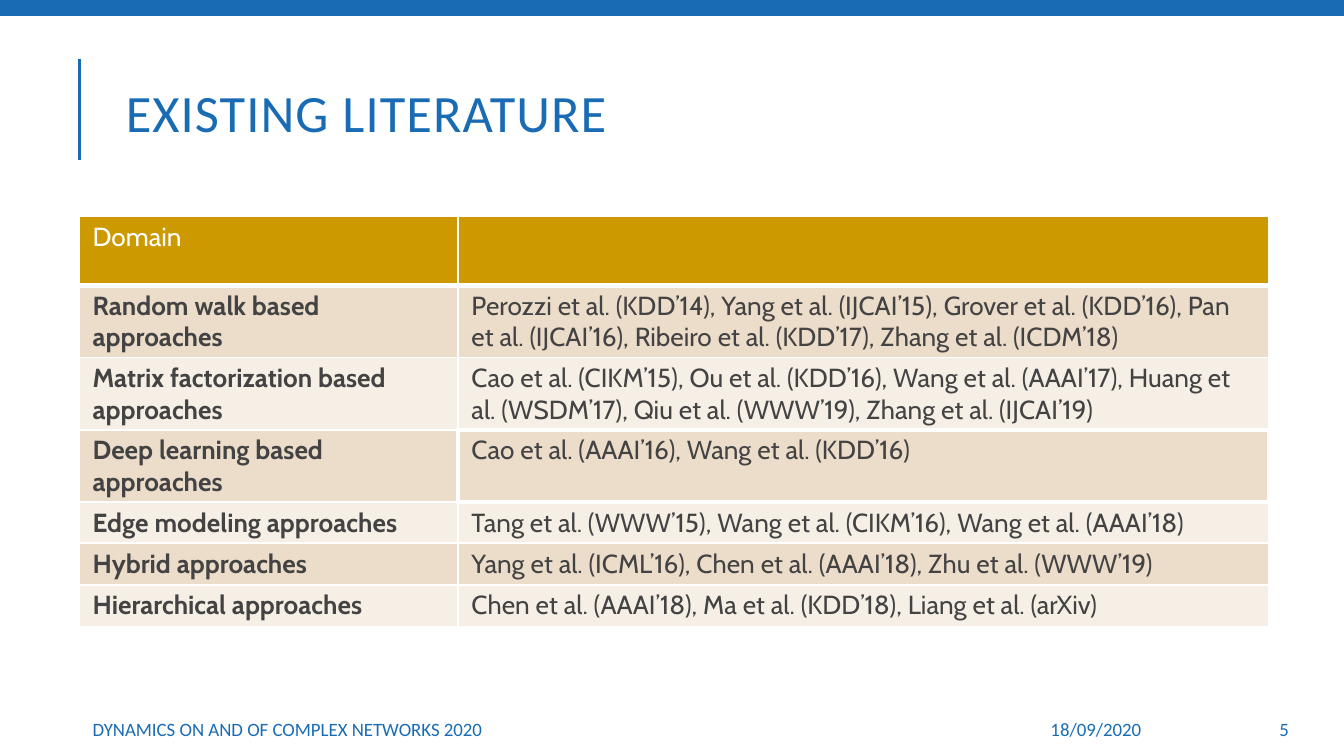
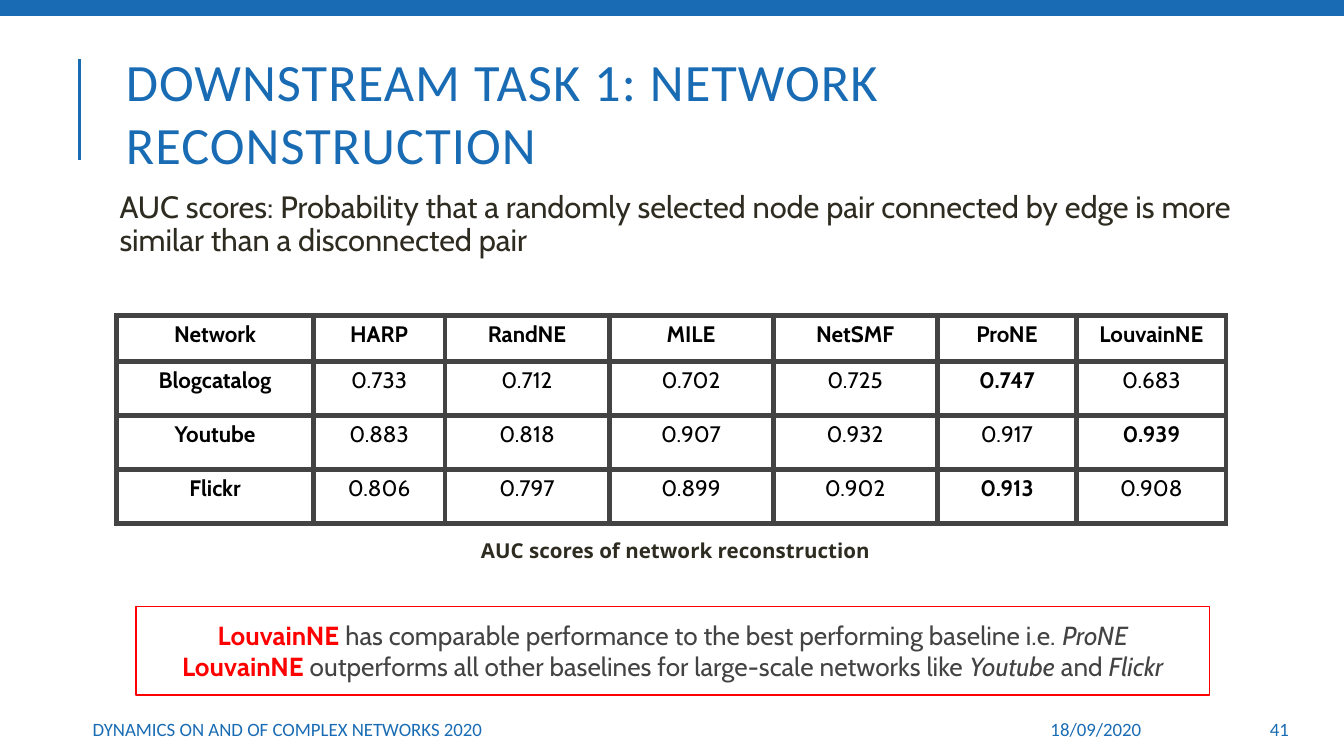
"""Builds two slides on network embedding: literature table and AUC results."""
from lxml.etree import SubElement
from pptx import Presentation
from pptx.dml.color import RGBColor
from pptx.enum.shapes import MSO_CONNECTOR, MSO_SHAPE
from pptx.enum.text import MSO_ANCHOR, PP_ALIGN
from pptx.oxml import parse_xml
from pptx.oxml.ns import nsdecls, qn
from pptx.util import Cm, Pt

BLUE, GOLD, WHITE, BLACK = "196CB4", "CC9900", "FFFFFF", "000000"
SAND, CREAM, GREY, INK, RED = "ECDDCA", "F6EFE6", "434343", "2E2B21", "FF0000"
HEADING, BODY, CAPTION = "Calibri", "Cabin", "Open Sans"

TITLE_BOX = (2.13, 1.12, 22.48, 1.98)
FOOTER_TOP, FOOTER_HEIGHT = 13.49, 0.58
CONFERENCE, DATE = "DYNAMICS ON AND OF COMPLEX NETWORKS 2020", "18/09/2020"

LITERATURE = [
    ("Random walk based approaches",
     "Perozzi et al. (KDD’14), Yang et al. (IJCAI’15), Grover et al. (KDD’16), "
     "Pan et al. (IJCAI’16), Ribeiro et al. (KDD’17), Zhang et al. (ICDM’18)"),
    ("Matrix factorization based approaches",
     "Cao et al. (CIKM’15), Ou et al. (KDD’16), Wang et al. (AAAI’17), "
     "Huang et al. (WSDM’17), Qiu et al. (WWW’19), Zhang et al. (IJCAI’19)"),
    ("Deep learning based approaches",
     "Cao et al. (AAAI’16), Wang et al. (KDD’16)"),
    ("Edge modeling approaches",
     "Tang et al. (WWW’15), Wang et al. (CIKM’16), Wang et al. (AAAI’18)"),
    ("Hybrid approaches",
     "Yang et al. (ICML’16), Chen et al. (AAAI’18), Zhu et al. (WWW’19)"),
    ("Hierarchical approaches",
     "Chen et al. (AAAI’18), Ma et al. (KDD’18), Liang et al. (arXiv)"),
]
LITERATURE_BORDERS = {
    (0, 0): {"B": 3}, (0, 1): {"B": 3}, (1, 0): {"T": 3}, (1, 1): {"T": 3},
    (2, 1): {"B": 2.25}, (3, 0): {"R": 2.25}, (4, 1): {"T": 2.25},
    (3, 1): dict.fromkeys("LRTB", 2.25),
}

METHODS = ["HARP", "RandNE", "MILE", "NetSMF", "ProNE", "LouvainNE"]
SCORES = {
    "Blogcatalog": [0.733, 0.712, 0.702, 0.725, 0.747, 0.683],
    "Youtube": [0.883, 0.818, 0.907, 0.932, 0.917, 0.939],
    "Flickr": [0.806, 0.797, 0.899, 0.902, 0.913, 0.908],
}
FINDINGS = [
    [("LouvainNE ", "strong"),
     ("has comparable performance to the best performing baseline i.e. ", "plain"),
     ("ProNE", "italic")],
    [("LouvainNE", "strong"),
     (" outperforms all other baselines for large-scale networks like ", "plain"),
     ("Youtube ", "italic"), ("and", "plain"), (" Flickr", "italic")],
]


def color(hex_code):
    """Turn a hex string into a colour."""
    return RGBColor.from_string(hex_code)


def style(paragraph, face, size, ink, bold=False, align=PP_ALIGN.LEFT):
    """Set the font and alignment of a whole paragraph."""
    paragraph.alignment = align
    font = paragraph.font
    font.name, font.size, font.bold = face, Pt(size), bold
    font.color.rgb = color(ink)


def set_insets(holder, across, down):
    """Set the margins of a text frame or table cell."""
    holder.margin_left = holder.margin_right = Cm(across)
    holder.margin_top = holder.margin_bottom = Cm(down)


def add_text(slide, box, text, face, size, ink, bold=False, align=PP_ALIGN.LEFT,
             anchor=MSO_ANCHOR.MIDDLE, insets=(0.25, 0.13)):
    """Place one wrapped paragraph in a box and return it."""
    frame = slide.shapes.add_textbox(*map(Cm, box)).text_frame
    frame.word_wrap = True
    frame.vertical_anchor = anchor
    set_insets(frame, *insets)
    paragraph = frame.paragraphs[0]
    paragraph.text = text
    style(paragraph, face, size, ink, bold, align)
    return paragraph


def add_band(slide, box):
    """Draw the blue band along the top edge."""
    band = slide.shapes.add_shape(MSO_SHAPE.RECTANGLE, *map(Cm, box))
    band.shadow.inherit = False
    band.fill.solid()
    band.fill.fore_color.rgb = color(BLUE)
    band.line.fill.background()


def add_title(slide, box, text):
    """Write the title with the upright rule to its left."""
    left, top, _, height = box
    rule_x = left - 0.63
    rule = slide.shapes.add_connector(
        MSO_CONNECTOR.STRAIGHT, Cm(rule_x), Cm(top + height - 0.08), Cm(rule_x), Cm(top))
    rule.line.color.rgb = color(BLUE)
    rule.line.width = Pt(1.5)
    SubElement(rule._element.spPr, qn("a:effectLst"))
    title = add_text(slide, box, text, HEADING, 28.1, BLUE)
    title.runs[0]._r.get_or_add_rPr().set("spc", "60")


def add_footer(slide, top, height, number):
    """Write the conference, the date and the slide number."""
    for left, width, text, align in (
            (1.5, 15.09, CONFERENCE, PP_ALIGN.LEFT),
            (17.32, 4.5, DATE, PP_ALIGN.RIGHT),
            (22.58, 2.03, str(number), PP_ALIGN.RIGHT)):
        add_text(slide, (left, top, width, height), text, HEADING, 10.1, BLUE, align=align)


def add_framed_slide(deck, title, number):
    """Add a blank slide with the band, title and footer."""
    slide = deck.slides.add_slide(deck.slide_layouts[6])
    add_band(slide, (0, 0, 25.4, 0.3))
    add_title(slide, TITLE_BOX, title)
    add_footer(slide, FOOTER_TOP, FOOTER_HEIGHT, number)
    return slide


def add_grid(slide, left, top, widths, heights):
    """Add an unbanded table with the given column and row sizes."""
    table = slide.shapes.add_table(
        len(heights), len(widths), Cm(left), Cm(top),
        Cm(sum(widths)), Cm(sum(heights))).table
    table.first_row = table.horz_banding = False
    for column, width in zip(table.columns, widths):
        column.width = Cm(width)
    for row, height in zip(table.rows, heights):
        row.height = Cm(height)
    return table


def set_borders(cell, ink, width, special=None):
    """Draw the four cell borders, some with a width of their own."""
    widths = dict.fromkeys("LRTB", width) | (special or {})
    properties = cell._tc.get_or_add_tcPr()
    for index, (side, points) in enumerate(widths.items()):
        properties.insert(index, parse_xml(
            f'<a:ln{side} {nsdecls("a")} w="{Pt(points)}"><a:solidFill>'
            f'<a:srgbClr val="{ink}"/></a:solidFill></a:ln{side}>'))


def add_literature_table(slide, left, top):
    """List the papers of each domain."""
    table = add_grid(slide, left, top, [7.16, 15.32],
                     [1.3, 1.14, 1.14, 0.79, 0.69, 0.79, 0.79])
    for r, row in enumerate([("Domain", ""), *LITERATURE]):
        for c, text in enumerate(row):
            cell = table.cell(r, c)
            set_insets(cell, 0.25, 0.09)
            cell.text = text
            style(cell.text_frame.paragraphs[0], BODY, 14,
                  GREY if r else WHITE, bold=r > 0 and c == 0)
            cell.fill.solid()
            cell.fill.fore_color.rgb = color((SAND if r % 2 else CREAM) if r else GOLD)
            set_borders(cell, WHITE, 1, LITERATURE_BORDERS.get((r, c)))


def add_score_table(slide, left, top):
    """Show the AUC scores with the best of each network in bold."""
    table = add_grid(slide, left, top, [3.71, 2.49, 3.1, 3.1, 3.1, 2.64, 2.82],
                     [0.86] + [1.02] * len(SCORES))
    rows = [["Network", *METHODS]]
    rows += [[network, *scores] for network, scores in SCORES.items()]
    for r, row in enumerate(rows):
        for c, entry in enumerate(row):
            cell = table.cell(r, c)
            set_insets(cell, 0.1, 0.1)
            cell.text = str(entry)
            bold = r == 0 or c == 0 or entry == max(row[1:])
            style(cell.text_frame.paragraphs[0], BODY, 12, BLACK, bold, PP_ALIGN.CENTER)
            cell.fill.background()
            set_borders(cell, GREY, 3)


def add_findings(slide, box):
    """Write the findings in a red frame."""
    frame = slide.shapes.add_shape(MSO_SHAPE.RECTANGLE, *map(Cm, box))
    frame.shadow.inherit = False
    frame.fill.background()
    frame.line.color.rgb = color(RED)
    frame.line.width = Pt(0.75)
    body = frame.text_frame
    body.word_wrap = True
    body.vertical_anchor = MSO_ANCHOR.MIDDLE
    set_insets(body, 0.25, 0.25)
    for index, finding in enumerate(FINDINGS):
        paragraph = body.add_paragraph() if index else body.paragraphs[0]
        style(paragraph, BODY, 14, GREY, align=PP_ALIGN.CENTER)
        for text, emphasis in finding:
            run = paragraph.add_run()
            run.text = text
            run.font.bold = emphasis == "strong"
            run.font.italic = emphasis == "italic"
            run.font.color.rgb = color(RED if emphasis == "strong" else GREY)


def build_literature_slide(deck):
    """Build the slide on existing literature."""
    slide = add_framed_slide(deck, "EXISTING LITERATURE", 5)
    add_literature_table(slide, 1.5, 4.09)


def build_reconstruction_slide(deck):
    """Build the slide on network reconstruction."""
    slide = add_framed_slide(deck, "DOWNSTREAM TASK 1: NETWORK RECONSTRUCTION", 41)
    definition = add_text(
        slide, (2.13, 3.5, 22.48, 9.65),
        "AUC scores: Probability that a randomly selected node pair connected "
        "by edge is more similar than a disconnected pair",
        BODY, 16.5, INK, anchor=MSO_ANCHOR.TOP, insets=(0.13, 0.13))
    definition.line_spacing = 0.9
    add_findings(slide, (2.57, 11.46, 20.29, 1.68))
    add_score_table(slide, 2.21, 5.97)
    add_text(slide, (8.84, 9.93, 7.95, 0.69), "AUC scores of network reconstruction",
             CAPTION, 11, INK, bold=True, anchor=MSO_ANCHOR.TOP, insets=(0.25, 0.25))


def main():
    """Build and save the deck."""
    deck = Presentation()
    deck.slide_width, deck.slide_height = Cm(25.4), Cm(14.29)
    build_literature_slide(deck)
    build_reconstruction_slide(deck)
    deck.save("out.pptx")


if __name__ == "__main__":
    main()
